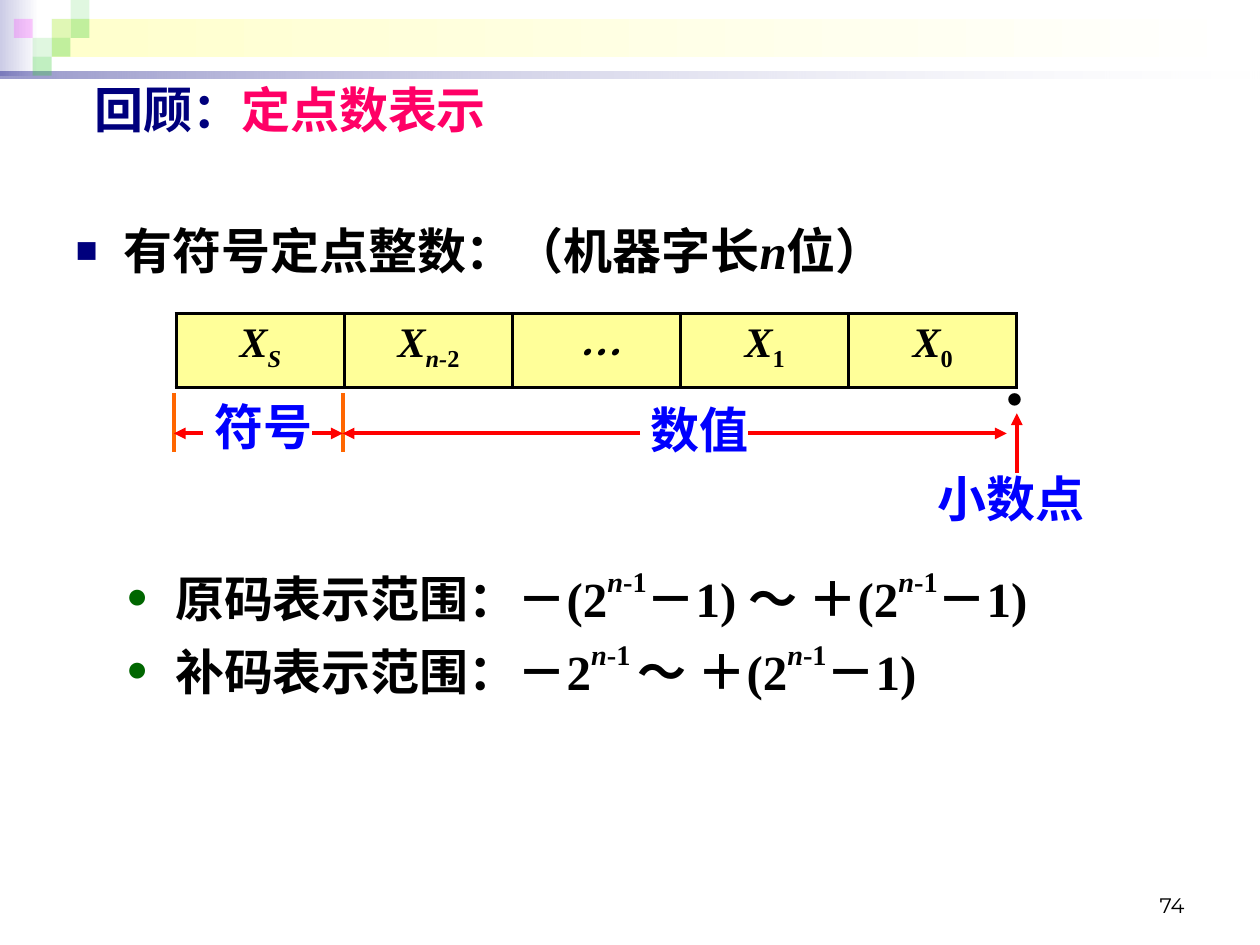
"""Build the slide on the range of signed fixed-point integers."""
from lxml import etree
from pptx import Presentation
from pptx.dml.color import RGBColor
from pptx.enum.shapes import MSO_CONNECTOR, MSO_SHAPE
from pptx.enum.text import MSO_ANCHOR, MSO_AUTO_SIZE, PP_ALIGN
from pptx.oxml.ns import qn
from pptx.util import Inches, Pt

LEFT, CENTER, RIGHT = PP_ALIGN.LEFT, PP_ALIGN.CENTER, PP_ALIGN.RIGHT
RECT, LINE = MSO_SHAPE.RECTANGLE, MSO_CONNECTOR.STRAIGHT
GROW, FIXED = MSO_AUTO_SIZE.SHAPE_TO_FIT_TEXT, MSO_AUTO_SIZE.NONE
TOP, MIDDLE, BOTTOM = MSO_ANCHOR.TOP, MSO_ANCHOR.MIDDLE, MSO_ANCHOR.BOTTOM

BLACK = RGBColor(0x00, 0x00, 0x00)
WHITE = RGBColor(0xFF, 0xFF, 0xFF)
NAVY = RGBColor(0x00, 0x00, 0x7D)
BLUE = RGBColor(0x00, 0x00, 0xFF)
PINK = RGBColor(0xFF, 0x00, 0x66)
RED = RGBColor(0xFF, 0x00, 0x00)
ORANGE = RGBColor(0xFF, 0x66, 0x00)
YELLOW = RGBColor(0xFF, 0xFF, 0x99)
CREAM = RGBColor(0xFF, 0xFF, 0xCC)
LILAC = RGBColor(0xCC, 0xCC, 0xE6)
GREEN = RGBColor(0x33, 0xCC, 0x33)
FOREST = RGBColor(0x00, 0x66, 0x00)
VIOLET = RGBColor(0xFF, 0x00, 0xFF)
TIMES, NOTO = "Times New Roman", "Noto Sans CJK SC"


def write(para, parts, size=28, color=BLACK, face=TIMES, bold=True):
    for text, slant, base in parts:
        run = para.add_run()
        run.text = text
        font = run.font
        font.name, font.size, font.bold, font.italic = face, Pt(size), bold, slant
        font.color.rgb = color
        props = font._element
        if base:
            props.set("baseline", str(base * 1000))
        etree.SubElement(props, qn("a:ea")).set("typeface", NOTO)


def block(x, y, w, h):
    shape = slide.shapes.add_shape(RECT, Inches(x), Inches(y), Inches(w), Inches(h))
    shape.shadow.inherit = False
    shape.line.fill.background()
    return shape


deck = Presentation()
deck.slide_width, deck.slide_height = Inches(10), Inches(7.5)
slide = deck.slides.add_slide(deck.slide_layouts[1])

bands = [
    (0, 0, 0.31, 0.6, LILAC, 100, 100),
    (0.41, 0.15, 9.55, 0.3, CREAM, 100, 100),
    (0, 0.57, 10, 0.05, NAVY, 40, 10),
]
tiles = [
    (2, 1, GREEN, 15), (3, 0, GREEN, 15), (3, 1, GREEN, 30), (1, 2, GREEN, 15),
    (0, 1, VIOLET, 20), (2, 2, GREEN, 30), (1, 3, GREEN, 30),
]
for x, y, w, h, color, start, end in bands:
    fill = block(x, y, w, h).fill
    fill.gradient()
    fill.gradient_angle = 0
    for stop, tone, alpha in zip(fill.gradient_stops, (color, WHITE), (start, end)):
        stop.color.rgb = tone
        node = stop._gs.find(qn("a:srgbClr"))
        etree.SubElement(node, qn("a:alpha")).set("val", str(alpha * 1000))
for col, row, color, alpha in tiles:
    tile = block(0.11 + 0.15 * col, 0.15 * row, 0.15, 0.15)
    tile.fill.solid()
    tile.fill.fore_color.rgb = color
    node = tile._element.spPr.find(qn("a:solidFill")).find(qn("a:srgbClr"))
    etree.SubElement(node, qn("a:alpha")).set("val", str(alpha * 1000))

title = slide.shapes.title
title.left, title.top = Inches(0.65), Inches(0.58)
title.width, title.height = Inches(9), Inches(0.57)
frame = title.text_frame
frame.auto_size, frame.vertical_anchor = FIXED, MIDDLE
para = frame.paragraphs[0]
para.alignment = LEFT
write(para, [("回顾：", False, 0)], color=NAVY, face="Arial")
write(para, [("定点数表示", False, 0)], color=PINK, face="Arial")

body = slide.placeholders[1]
body.left, body.top = Inches(0.5), Inches(1.7)
body.width, body.height = Inches(9.15), Inches(5.12)
frame = body.text_frame
frame.auto_size, frame.vertical_anchor = FIXED, TOP
power = [("n", True, 50), ("-1", False, 50)]
close = [*power, ("－1)", False, 0)]
points = [
    (0, 0, 0.38, -0.38, "■", NAVY,
     [("有符号定点整数：（机器字长", False, 0), ("n", True, 0), ("位）", False, 0)]),
    (1, 163, 0.79, -0.39, "●", FOREST,
     [("原码表示范围：－(2", False, 0), *close[:2], ("－1) ～ ＋(2", False, 0), *close]),
    (1, 5.6, 0.79, -0.39, "●", FOREST,
     [("补码表示范围：－2", False, 0), power[0], ("-1 ", False, 50),
      ("～ ＋(2", False, 0), *close]),
]
for num, (level, gap, left, hang, mark, color, parts) in enumerate(points):
    para = frame.add_paragraph() if num else frame.paragraphs[0]
    para.level, para.space_before = level, Pt(gap)
    props = para._p.get_or_add_pPr()
    props.set("marL", str(Inches(left)))
    props.set("indent", str(Inches(hang)))
    tint = etree.SubElement(props, qn("a:buClr"))
    etree.SubElement(tint, qn("a:srgbClr")).set("val", str(color))
    etree.SubElement(props, qn("a:buSzPct")).set("val", "75000")
    etree.SubElement(props, qn("a:buFont")).set("typeface", "Arial")
    etree.SubElement(props, qn("a:buChar")).set("char", mark)
    write(para, parts)

cells = [
    (TIMES, [("X", True, 0), ("S", True, -25)]),
    (TIMES, [("X", True, 0), ("n-", True, -25), ("2", False, -25)]),
    (NOTO, [("…", True, 0)]),
    (TIMES, [("X", True, 0), ("1", False, -25)]),
    (TIMES, [("X", True, 0), ("0", False, -25)]),
]
table = slide.shapes.add_table(
    1, len(cells), Inches(1.4), Inches(2.49), Inches(6.67), Inches(0.57)).table
table.first_row = table.horz_banding = False
for num, (face, parts) in enumerate(cells):
    cell = table.cell(0, num)
    props = cell._tc.get_or_add_tcPr()
    for side in ("lnL", "lnR", "lnT", "lnB"):
        edge = etree.SubElement(props, qn("a:" + side), w=str(Pt(2.25)))
        ink = etree.SubElement(edge, qn("a:solidFill"))
        etree.SubElement(ink, qn("a:srgbClr")).set("val", str(BLACK))
    cell.fill.solid()
    cell.fill.fore_color.rgb = YELLOW
    para = cell.text_frame.paragraphs[0]
    para.alignment = CENTER
    write(para, parts, size=24, face=face)

labels = [
    ("·", 7.76, 2.88, 0.55, 0.57, 28, BLACK, NOTO, True, CENTER, TOP, GROW),
    ("小数点", 7.2, 3.67, 1.65, 0.57, 28, BLUE, TIMES, True, CENTER, TOP, GROW),
    ("符号", 1.46, 3.1, 1.26, 0.57, 28, BLUE, TIMES, True, CENTER, TOP, GROW),
    ("数值", 4.92, 3.12, 1.26, 0.57, 28, BLUE, TIMES, True, CENTER, TOP, GROW),
    ("74", 7.17, 6.83, 2.33, 0.5, 12, BLACK, "Montserrat", False, RIGHT, BOTTOM, FIXED),
]
for text, x, y, w, h, size, color, face, bold, align, anchor, fit in labels:
    frame = slide.shapes.add_textbox(Inches(x), Inches(y), Inches(w), Inches(h)).text_frame
    frame.word_wrap, frame.auto_size, frame.vertical_anchor = True, fit, anchor
    para = frame.paragraphs[0]
    para.alignment = align
    write(para, [(text, False, 0)], size, color, face, bold)

lines = [
    (8.07, 3.75, 8.07, 3.28, RED),
    (1.38, 3.12, 1.38, 3.59, ORANGE),
    (2.72, 3.12, 2.72, 3.59, ORANGE),
    (1.61, 3.44, 1.38, 3.44, RED),
    (2.48, 3.44, 2.72, 3.44, RED),
    (5.08, 3.44, 2.72, 3.44, RED),
    (5.94, 3.44, 7.99, 3.44, RED),
]
for x, y, far, end, color in lines:
    line = slide.shapes.add_connector(LINE, Inches(x), Inches(y), Inches(far), Inches(end))
    line.line.color.rgb, line.line.width = color, Pt(2.25)
    if color == RED:
        etree.SubElement(line.line._get_or_add_ln(), qn("a:tailEnd")).set("type", "triangle")
    etree.SubElement(line._element.spPr, qn("a:effectLst"))

deck.save("out.pptx")
